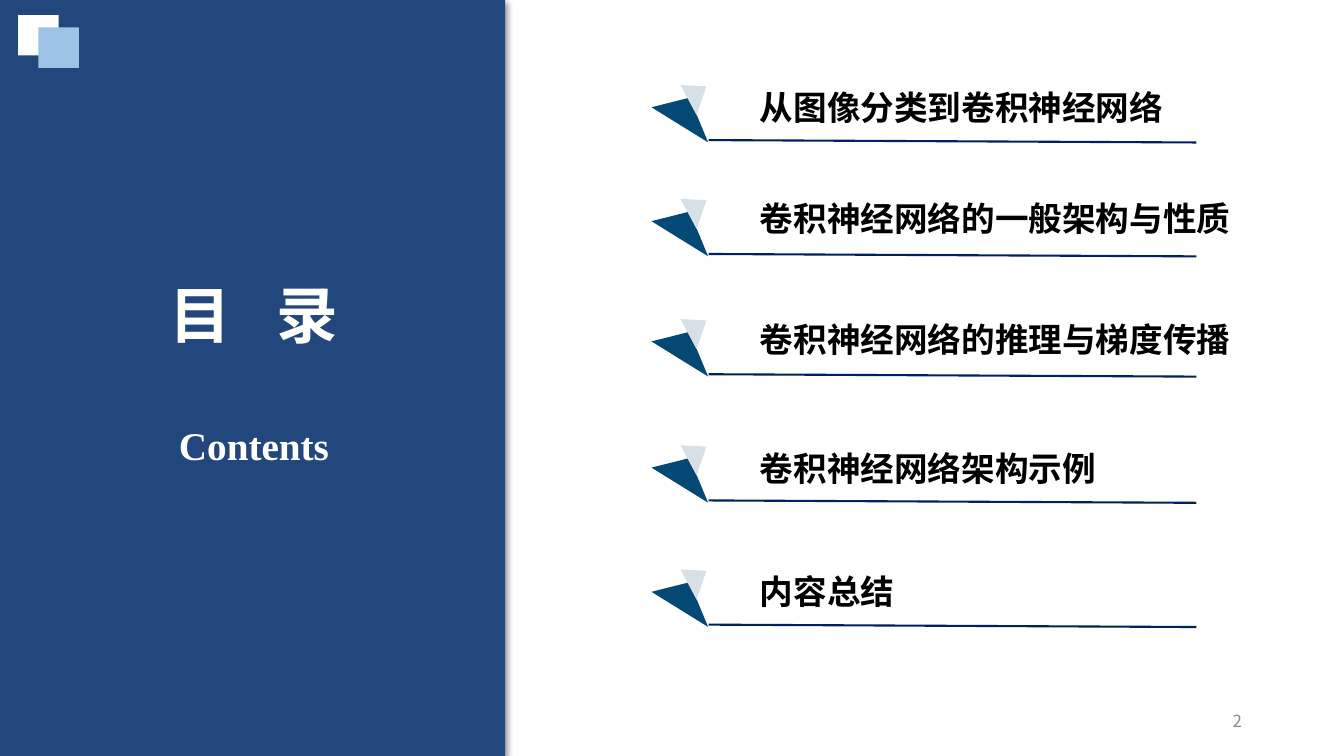
import pptx
import pptx.util
import pptx.dml.color
import pptx.enum.shapes
import pptx.enum.text
import pptx.oxml.ns
from lxml import etree

Cm = pptx.util.Cm
Pt = pptx.util.Pt
SHAPE = pptx.enum.shapes.MSO_SHAPE
ALIGN = pptx.enum.text.PP_ALIGN
qn = pptx.oxml.ns.qn

COLORS = {
    "panel": "22477D",
    "white": "FFFFFF",
    "sky": "9DC3E6",
    "teal": "044875",
    "mist": "D6E0E6",
    "navy": "002060",
    "black": "000000",
    "grey": "8C8C8C",
}
SANS = "Noto Sans CJK SC"
SERIF = "Times New Roman"

TOPICS = [
    ("从图像分类到卷积神经网络", 2.06, 3.53),
    ("卷积神经网络的一般架构与性质", 4.85, 6.4),
    ("卷积神经网络的推理与梯度传播", 7.9, 9.43),
    ("卷积神经网络架构示例", 11.15, 12.61),
    ("内容总结", 14.27, 15.74),
]


def rgb(name):
    return pptx.dml.color.RGBColor.from_string(COLORS[name])


class Deck:
    def __init__(self):
        self.prs = pptx.Presentation()
        self.prs.slide_width = Cm(33.87)
        self.prs.slide_height = Cm(19.05)
        self.s = self.prs.slides.add_slide(self.prs.slide_layouts[0])

    def shape(self, kind, x, y, w, h, color, parent=None):
        shapes = (parent or self.s).shapes
        sp = shapes.add_shape(kind, Cm(x), Cm(y), Cm(w), Cm(h))
        sp.shadow.inherit = False
        sp.fill.solid()
        sp.fill.fore_color.rgb = rgb(color)
        sp.line.fill.background()
        return sp

    def drop_shadow(self, sp):
        effects = sp.element.spPr.find(qn("a:effectLst"))
        shadow = etree.SubElement(effects, qn("a:outerShdw"), blurRad="50800",
                                  dist="38100", dir="2700000", algn="tl", rotWithShape="0")
        tint = etree.SubElement(shadow, qn("a:srgbClr"), val=COLORS["black"])
        etree.SubElement(tint, qn("a:alpha"), val="40000")

    def triangle(self, x, y, w, h, color, angle, apex, parent):
        sp = self.shape(SHAPE.ISOSCELES_TRIANGLE, x, y, w, h, color, parent)
        sp.adjustments[0] = apex
        sp.rotation = angle

    def marker(self, y):
        group = self.s.shapes.add_group_shape()
        self.triangle(16.48, y - 1.04, 1.68, 0.71, "teal", 31.8, 0.41, group)
        self.triangle(17.17, y - 1.42, 0.86, 0.56, "mist", 62, 0.39, group)

    def line(self, x1, y1, x2, y2, color, width):
        cx = self.s.shapes.add_connector(pptx.enum.shapes.MSO_CONNECTOR.STRAIGHT,
                                         Cm(x1), Cm(y1), Cm(x2), Cm(y2))
        cx.line.color.rgb = rgb(color)
        cx.line.width = Pt(width)
        etree.SubElement(cx.element.spPr, qn("a:effectLst"))

    def fill_text(self, sp, parts, size, font, color, bold=False, align=ALIGN.LEFT, wrap=True):
        tf = sp.text_frame
        tf.word_wrap = wrap
        tf.auto_size = pptx.enum.text.MSO_AUTO_SIZE.NONE
        tf.vertical_anchor = pptx.enum.text.MSO_ANCHOR.MIDDLE
        tf.margin_top = tf.margin_bottom = 0
        p = tf.paragraphs[0]
        p.alignment = align
        p.space_before = Pt(0)
        p.font.size = Pt(size)
        p.font.bold = bold
        p.font.color.rgb = rgb(color)
        p.font.name = font
        etree.SubElement(p._p.pPr.find(qn("a:defRPr")), qn("a:ea"), typeface=SANS)
        for text, spacing in parts:
            r = p.add_run()
            r.text = text
            if spacing:
                r._r.get_or_add_rPr().set("spc", str(spacing * 100))

    def text(self, x, y, w, h, text, **style):
        sp = self.s.shapes.add_textbox(Cm(x), Cm(y), Cm(w), Cm(h))
        self.fill_text(sp, [(text, 0)], **style)

    def heading(self, index, y, h, parts, size):
        sp = self.s.placeholders[index]
        sp.left, sp.top, sp.width, sp.height = Cm(0), Cm(y), Cm(12.8), Cm(h)
        sp.element.getparent().append(sp.element)
        self.fill_text(sp, parts, size, SERIF, "white", bold=True, align=ALIGN.CENTER)

    def topic(self, text, text_y, line_y):
        self.marker(line_y)
        self.line(17.86, line_y, 30.15, line_y + 0.06, "navy", 1.5)
        self.text(18.9, text_y, len(text) * 0.85 + 0.51, 1.27, text,
                  size=24, font=SANS, color="black", bold=True, wrap=False)


def main():
    deck = Deck()
    panel = deck.shape(SHAPE.RECTANGLE, 0, 0, 12.73, 19.05, "panel")
    deck.drop_shadow(panel)
    deck.shape(SHAPE.RECTANGLE, 0.46, 0.38, 1.02, 1.02, "white")
    deck.shape(SHAPE.RECTANGLE, 0.97, 0.69, 1.02, 1.02, "sky")
    deck.heading(0, 6.7, 2.4, [("目", 0), (" ", 22), ("录", 0)], 44)
    deck.heading(1, 10.4, 1.6, [("Contents", 0)], 28)
    for topic in TOPICS:
        deck.topic(*topic)
    deck.text(23.93, 17.65, 7.62, 1.02, "2", size=12, font=SANS, color="grey",
              align=ALIGN.RIGHT)
    deck.prs.save("out.pptx")


if __name__ == "__main__":
    main()
